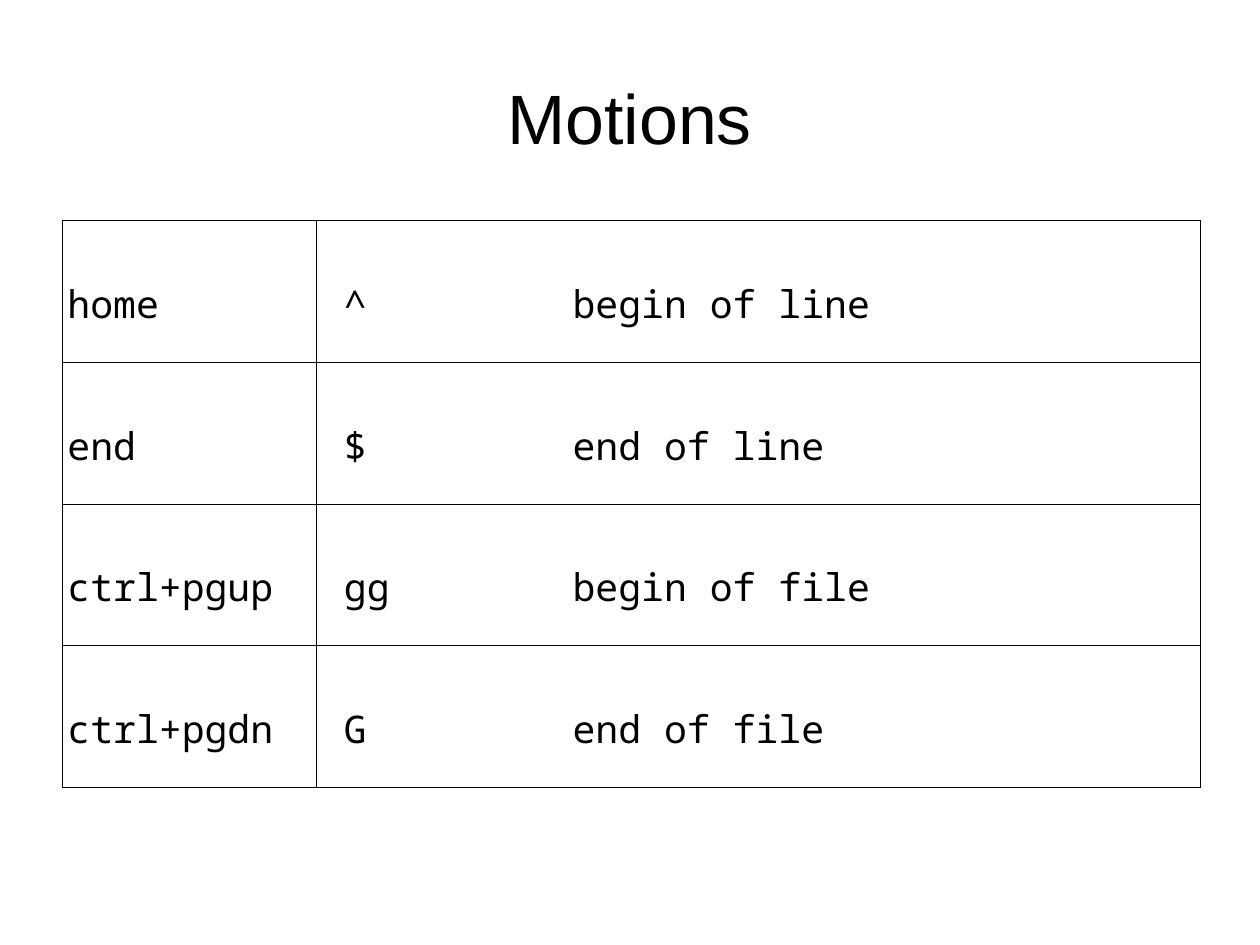
from lxml import etree
from pptx import Presentation
from pptx.dml.color import RGBColor
from pptx.enum.text import MSO_ANCHOR, PP_ALIGN
from pptx.oxml.ns import qn
from pptx.util import Inches, Pt

CENTER = PP_ALIGN.CENTER
LEFT = PP_ALIGN.LEFT
MIDDLE = MSO_ANCHOR.MIDDLE
TOP = MSO_ANCHOR.TOP
CM_PER_INCH = 2.54
COLORS = {"ink": "000000", "paper": "FFFFFF"}
MOTIONS = [
    ("home", "^\tbegin of line"),
    ("end", "$\tend of line"),
    ("ctrl+pgup", "gg\tbegin of file"),
    ("ctrl+pgdn", "G\tend of file"),
]
COL_WIDTHS = [2.22, 7.73]
COL_INSETS = [0.04, 0.24]
ROW_HEIGHT = 1.24


def style_font(p, name, size):
    p.font.name = name
    p.font.size = Pt(size)
    p.font.color.rgb = RGBColor.from_string(COLORS["ink"])


def add_borders(cell):
    tc_pr = cell._tc.get_or_add_tcPr()
    for side in ("a:lnL", "a:lnR", "a:lnT", "a:lnB"):
        ln = etree.SubElement(tc_pr, qn(side), w=str(Pt(0.57)))
        fill = etree.SubElement(ln, qn("a:solidFill"))
        etree.SubElement(fill, qn("a:srgbClr"), val=COLORS["ink"])


prs = Presentation()
prs.slide_width = Inches(28 / CM_PER_INCH)
prs.slide_height = Inches(21 / CM_PER_INCH)
s = prs.slides.add_slide(prs.slide_layouts[5])
s.background.fill.solid()
s.background.fill.fore_color.rgb = RGBColor.from_string(COLORS["paper"])

title = s.shapes.title
title.left, title.top = Inches(0.55), Inches(0.33)
title.width, title.height = Inches(9.92), Inches(1.38)
tf = title.text_frame
tf.margin_left = tf.margin_right = tf.margin_top = tf.margin_bottom = 0
tf.vertical_anchor = MIDDLE
p = tf.paragraphs[0]
p.text = "Motions"
p.alignment = CENTER
style_font(p, "Arial", 44)

table = s.shapes.add_table(
    len(MOTIONS), len(COL_WIDTHS), Inches(0.55), Inches(1.93),
    Inches(sum(COL_WIDTHS)), Inches(ROW_HEIGHT * len(MOTIONS)),
).table
table.first_row = False
table.horz_banding = False
for column, width in zip(table.columns, COL_WIDTHS):
    column.width = Inches(width)

for row, texts in zip(table.rows, MOTIONS):
    row.height = Inches(ROW_HEIGHT)
    for cell, text, inset in zip(row.cells, texts, COL_INSETS):
        add_borders(cell)
        cell.fill.solid()
        cell.fill.fore_color.rgb = RGBColor.from_string(COLORS["paper"])
        cell.margin_left, cell.margin_right = Inches(inset), Inches(0.04)
        cell.margin_top, cell.margin_bottom = Inches(0.5), Inches(0.05)
        cell.vertical_anchor = TOP
        p = cell.text_frame.paragraphs[0]
        p.text = text
        p.alignment = LEFT
        if "\t" in text:
            tabs = etree.SubElement(p._p.get_or_add_pPr(), qn("a:tabLst"))
            etree.SubElement(tabs, qn("a:tab"), pos=str(Inches(2)), algn="l")
        style_font(p, "Noto Sans Mono", 24)

prs.save("out.pptx")
